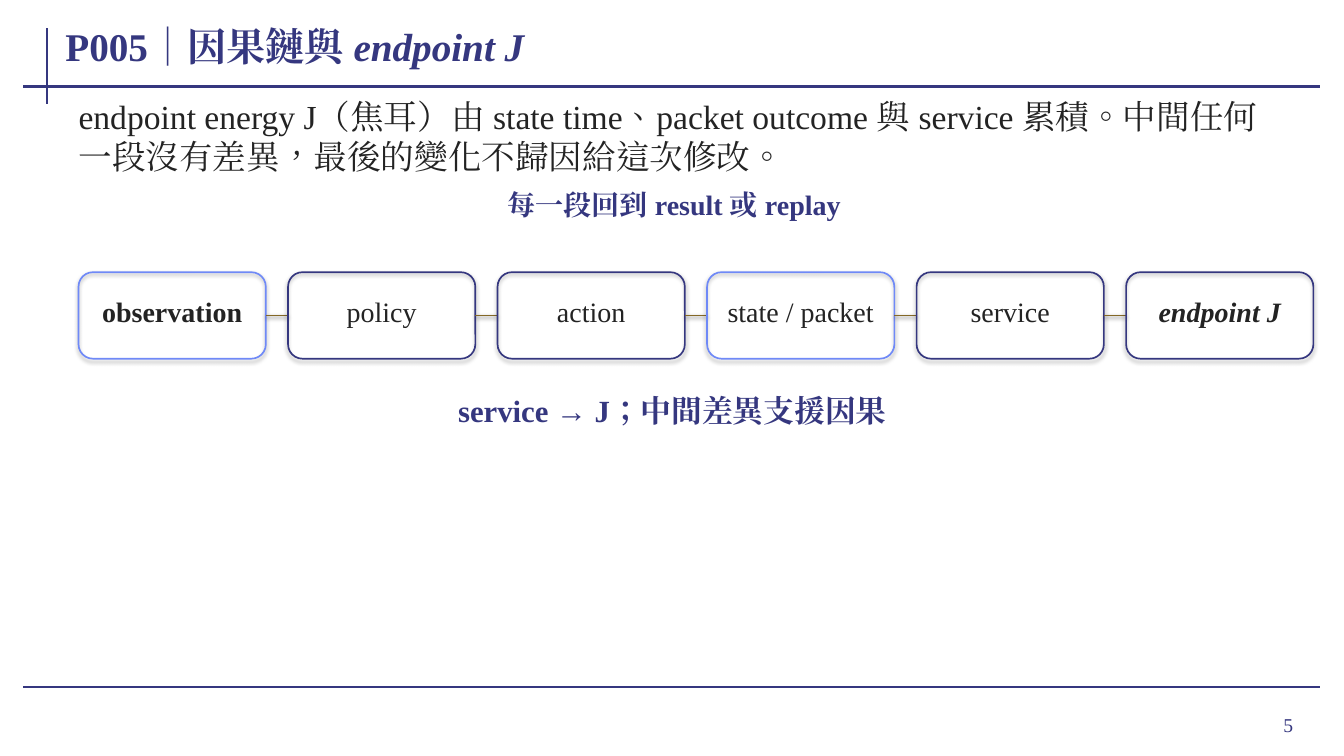
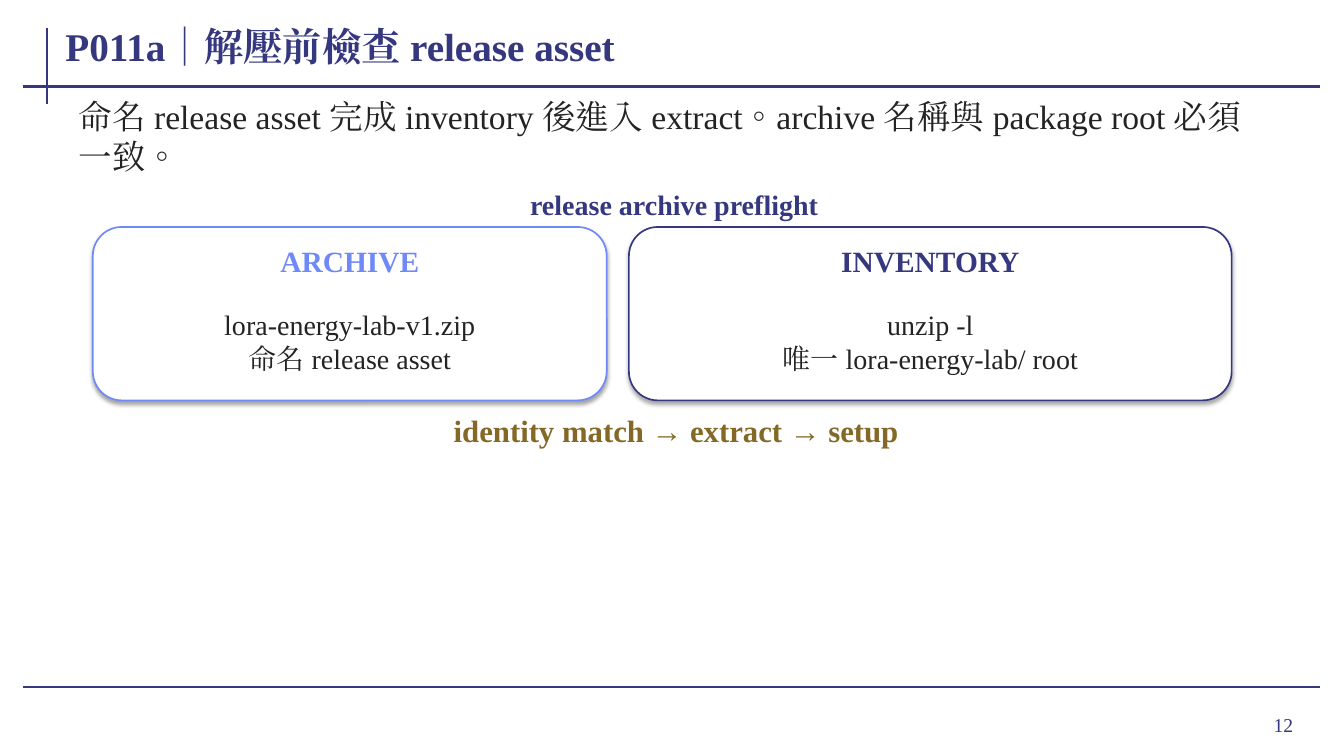
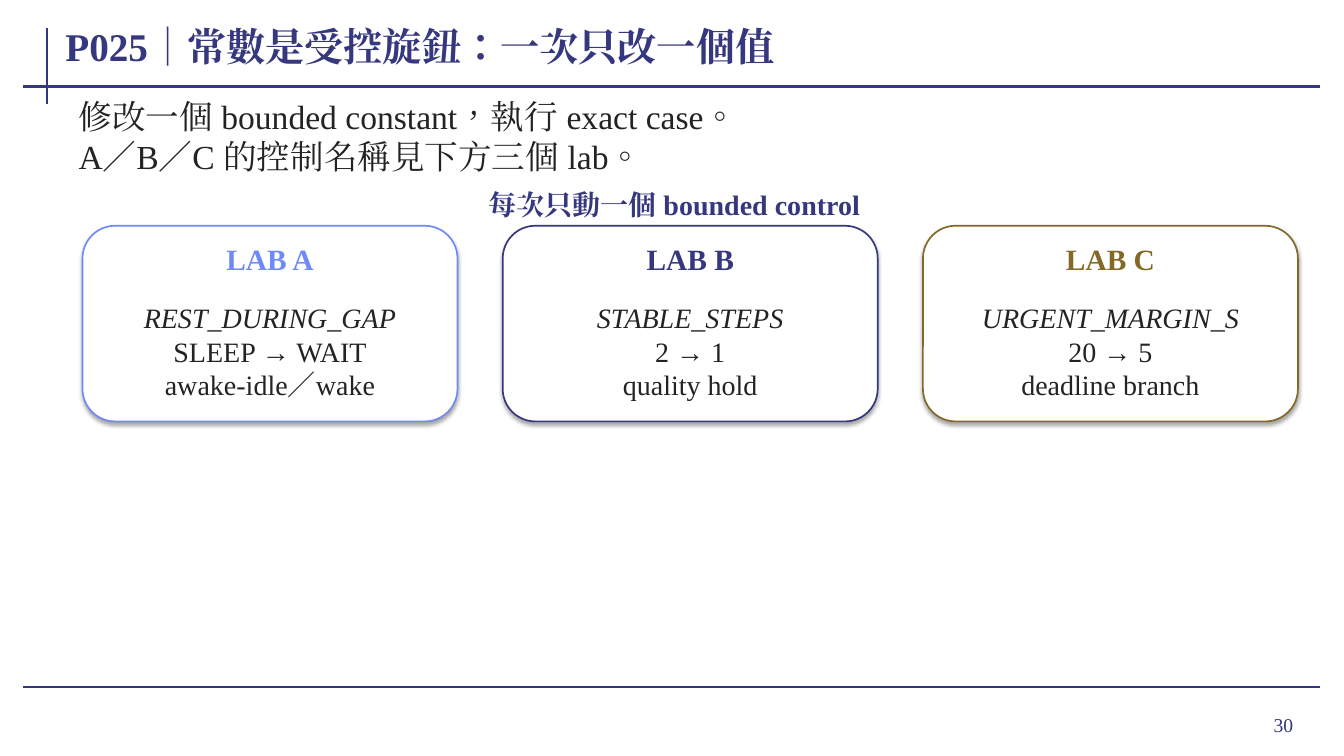
from lxml.etree import SubElement
from pptx import Presentation
from pptx.dml.color import RGBColor
from pptx.enum.lang import MSO_LANGUAGE_ID as LANG
from pptx.enum.shapes import MSO_CONNECTOR as LINE, MSO_SHAPE as SHAPE
from pptx.enum.text import MSO_ANCHOR as ANCHOR, MSO_AUTO_SIZE as FIT, PP_ALIGN as ALIGN
from pptx.oxml.ns import qn
from pptx.util import Cm, Pt

# Shared look
FONT = "Times New Roman"
NAVY, BLUE, GOLD, INK, WHITE = "35377F", "6F89F7", "846826", "232323", "FFFFFF"
RULES = [(1.19, 0.71, 1.19, 2.62), (0.58, 2.18, 33.27, 2.18),
         (0.58, 17.32, 33.27, 17.32)]


def paint(part, color):
    """Give a fill or a font colour object a hex colour."""
    if hasattr(part, "solid"):
        part.solid()
        part = part.fore_color
    part.rgb = RGBColor.from_string(color)


def shade(shape, alpha=None, dist=1.8):
    """Replace the theme shadow by a soft one, or by none."""
    effects = SubElement(shape.element.spPr, qn("a:effectLst"))
    if alpha:
        drop = SubElement(effects, qn("a:outerShdw"), blurRad=str(Pt(3.1)),
                          dist=str(Pt(dist)), dir="5400000", rotWithShape="0")
        black = SubElement(drop, qn("a:srgbClr"), val="000000")
        SubElement(black, qn("a:alpha"), val=str(alpha * 1000))


def style(shape, size, color, bold=False, align=ALIGN.CENTER, pad=(0.03, 0),
          anchor=ANCHOR.MIDDLE, fit=FIT.SHAPE_TO_FIT_TEXT):
    """Format the text that a shape already holds."""
    frame = shape.text_frame
    frame.word_wrap, frame.auto_size = True, fit
    frame.vertical_anchor = anchor
    frame.margin_left = frame.margin_right = Cm(pad[0])
    frame.margin_top = frame.margin_bottom = Cm(pad[1])
    for para in frame.paragraphs:
        para.alignment = align
        for run in para.runs:
            font = run.font
            font.name, font.size, font.bold = FONT, Pt(size), bold
            font.language_id = LANG.TRADITIONAL_CHINESE
            paint(font.fill, color)
    for props in shape.element.iter(qn("a:rPr")):
        SubElement(props, qn("a:ea"), typeface=FONT)


def write(slide, text, box, size, color, **look):
    shape = slide.shapes.add_textbox(*map(Cm, box))
    shape.text_frame.text = text
    style(shape, size, color, **look)
    return shape.text_frame.paragraphs


def rule(slide, ends, color, width):
    line = slide.shapes.add_connector(LINE.STRAIGHT, *map(Cm, ends))
    paint(line.line.fill, color)
    line.line.width = Pt(width)
    return line


def panel(slide, box, color, fill=None):
    shape = slide.shapes.add_shape(SHAPE.ROUNDED_RECTANGLE, *map(Cm, box))
    if fill:
        paint(shape.fill, fill)
    else:
        shape.fill.background()
    paint(shape.line.fill, color)
    shape.line.width = Pt(1.2)
    shade(shape, 35)


def card(slide, box, color, head, text):
    """Panel with a coloured heading over centred lines."""
    x, y, w, h = box
    panel(slide, box, color, WHITE)
    write(slide, head, (x + 0.36, y + 0.41, w - 0.72, 0.86), 21, color, bold=True)
    return write(slide, text, (x + 0.46, y + 1.68, w - 0.92, h - 1.98), 20, INK,
                 pad=(0.08, 0.03))


def chain(slide, steps):
    """Row of equal panels joined by short lines."""
    left, top, wide, high, pitch = 1.98, 6.86, 4.72, 2.18, 5.28
    for i, (text, color, bold, slant) in enumerate(steps):
        x = left + i * pitch
        if i:
            mid = top + high / 2
            link = rule(slide, (x - pitch + wide, mid, x, mid), GOLD, 1.4)
            shade(link, 38, 1.6)
        panel(slide, (x, top, wide, high), color)
        label = write(slide, text, (x + 0.15, 7.47, wide - 0.3, 0.76), 20, INK, bold=bold)
        label[0].runs[0].font.italic = slant


def note(slide, text, box, color):
    write(slide, text, box, 22, color, bold=True, pad=(0.2, 0.15))


def start(deck, number, title, lead, sub, tail=""):
    """New slide with title, lead sentence, subtitle and number."""
    slide = deck.slides.add_slide(deck.slide_layouts[5])
    head = slide.shapes.title
    head.text_frame.text = title
    if tail:
        run = head.text_frame.paragraphs[0].add_run()
        run.text = tail
        run.font.italic = True
    style(head, 28, NAVY, bold=True, align=ALIGN.LEFT, pad=(0.08, 0.03), fit=FIT.NONE)
    write(slide, number, (30.38, 17.6, 2.46, 1.32), 14, NAVY, align=ALIGN.RIGHT,
          pad=(0.25, 0.13), fit=FIT.NONE)
    write(slide, lead, (1.83, 2.36, 30.23, 2.13), 24, INK, align=ALIGN.LEFT,
          pad=(0.15, 0.05), anchor=ANCHOR.TOP)
    write(slide, sub, (2.13, 4.75, 29.72, 0.81), 20, NAVY, bold=True, pad=(0.05, 0))
    return slide


def frame(layout, slide):
    """Draw the rules once and move them into the layout."""
    for ends in RULES:
        line = rule(slide, ends, NAVY, 1.5)
        shade(line)
        layout.shapes.element.append(line.element)


def main():
    deck = Presentation()
    deck.slide_width, deck.slide_height = Cm(33.87), Cm(19.05)
    layout = deck.slide_layouts[5]
    title = layout.placeholders[0]
    title.left, title.top, title.width, title.height = map(Cm, (1.57, 0.38, 31.72, 1.57))

    # Causal chain
    slide = start(deck, "5", "P005｜因果鏈與 ",
                  "endpoint energy J（焦耳）由 state time、packet outcome 與 service 累積。"
                  "中間任何一段沒有差異，最後的變化不歸因給這次修改。",
                  "每一段回到 result 或 replay", tail="endpoint J")
    frame(layout, slide)
    chain(slide, [("observation", BLUE, True, False), ("policy", NAVY, False, False),
                  ("action", NAVY, False, False), ("state / packet", BLUE, False, False),
                  ("service", NAVY, False, False), ("endpoint J", NAVY, True, True)])
    note(slide, "service → J；中間差異支援因果", (3.61, 9.8, 26.67, 1.07), NAVY)

    # Release check
    slide = start(deck, "12", "P011a｜解壓前檢查 release asset",
                  "命名 release asset 完成 inventory 後進入 extract。"
                  "archive 名稱與 package root 必須一致。",
                  "release archive preflight")
    card(slide, (2.34, 5.72, 12.95, 4.37), BLUE, "ARCHIVE",
         "lora-energy-lab-v1.zip\n命名 release asset")
    card(slide, (15.85, 5.72, 15.19, 4.37), NAVY, "INVENTORY",
         "unzip -l\n唯一 lora-energy-lab/ root")
    note(slide, "identity match → extract → setup", (5.84, 10.41, 22.4, 0.86), GOLD)

    # Three labs
    slide = start(deck, "30", "P025｜常數是受控旋鈕：一次只改一個值",
                  "修改一個 bounded constant，執行 exact case。\n"
                  "A／B／C 的控制名稱見下方三個 lab。",
                  "每次只動一個 bounded control")
    labs = [("LAB A", BLUE, "REST_DURING_GAP\nSLEEP → WAIT\nawake-idle／wake"),
            ("LAB B", NAVY, "STABLE_STEPS\n2 → 1\nquality hold"),
            ("LAB C", GOLD, "URGENT_MARGIN_S\n20 → 5\ndeadline branch")]
    for i, (head, color, text) in enumerate(labs):
        lines = card(slide, (2.08 + i * 10.59, 5.69, 9.45, 4.93), color, head, text)
        lines[0].runs[0].font.italic = True

    deck.save("out.pptx")


if __name__ == "__main__":
    main()
